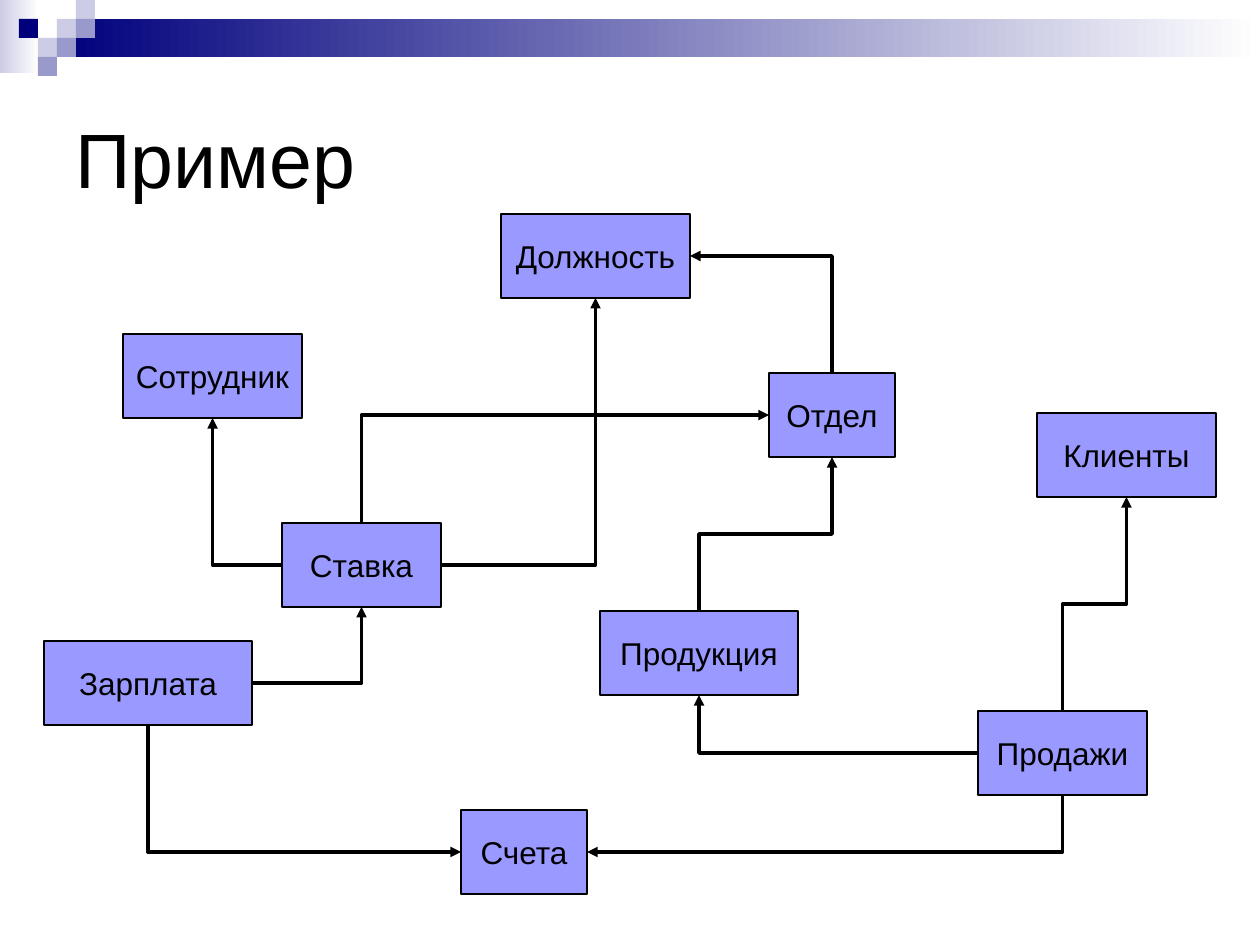
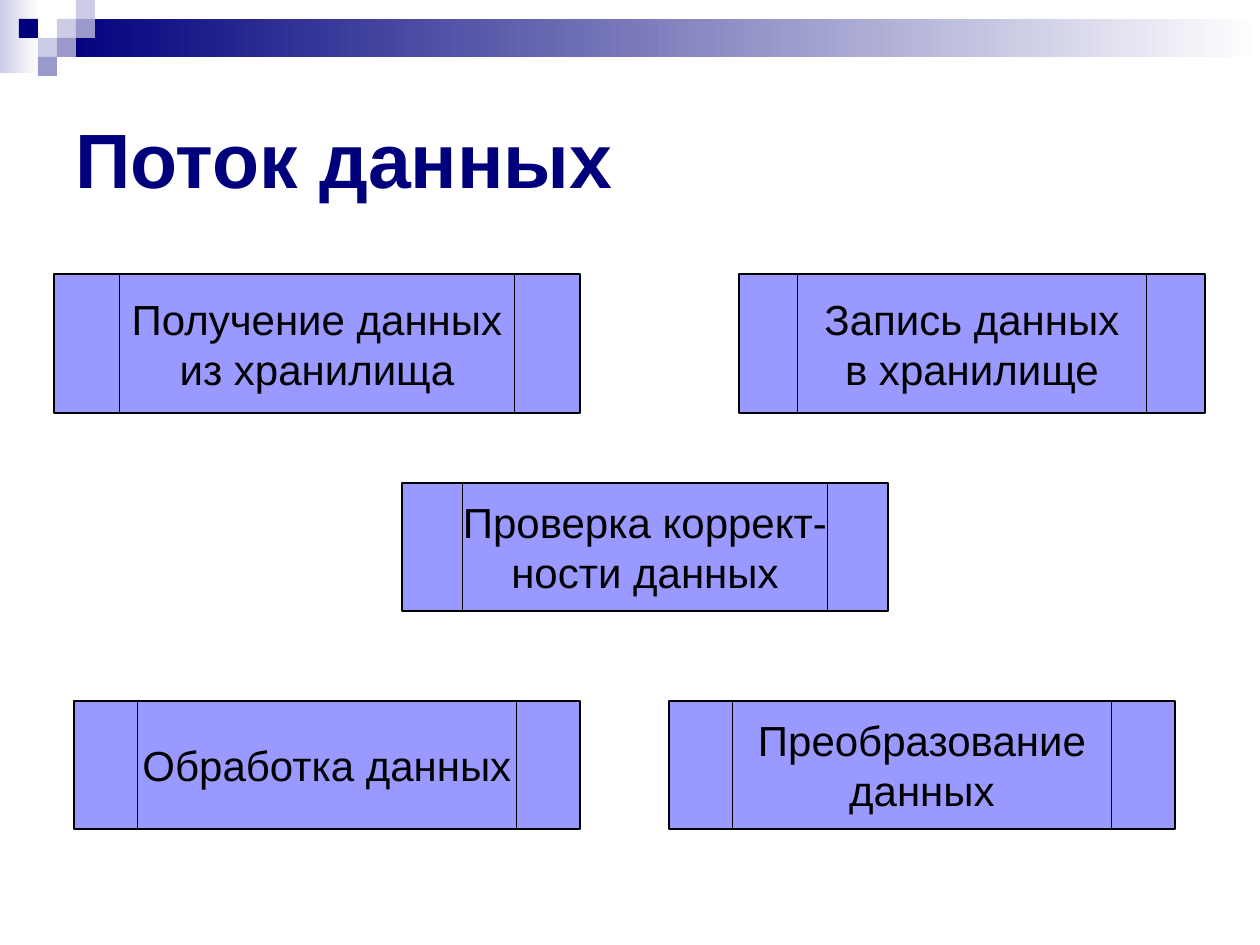
from dataclasses import dataclass

from lxml.etree import SubElement
from pptx import Presentation
from pptx.dml.color import RGBColor
from pptx.enum.shapes import MSO_CONNECTOR, MSO_SHAPE
from pptx.enum.text import MSO_ANCHOR, PP_ALIGN
from pptx.oxml.ns import qn
from pptx.util import Inches, Pt


@dataclass(frozen=True)
class Theme:
    font: str = "Arial"
    navy: str = "00007D"
    pale: str = "CCCCE6"
    mid: str = "9999CC"
    box: str = "9999FF"
    ink: str = "000000"
    paper: str = "FFFFFF"
    title_size: int = 44
    entity_size: int = 18
    process_size: int = 24
    box_line: float = 0.75
    arrow_line: float = 2


THEME = Theme()
PX_PER_INCH = 126
SLIDE_SIZE = (1260, 945)
TITLE_AREA = (63, 63, 1134, 189)

SQUARE = 19
BANDS = [
    ((0, 0, 39, 73), THEME.pale),
    ((57, 19, 1203, 38), THEME.navy),
]
SQUARES = [
    (3, 1, THEME.pale),
    (4, 0, THEME.pale),
    (4, 1, THEME.mid),
    (2, 2, THEME.pale),
    (1, 1, THEME.navy),
    (3, 2, THEME.mid),
    (2, 3, THEME.mid),
]

ENTITY_HEIGHT = 84
ENTITIES = {
    "Сотрудник": (123, 334, 179),
    "Должность": (501, 214, 189),
    "Ставка": (282, 523, 159),
    "Зарплата": (44, 641, 208),
    "Отдел": (769, 373, 126),
    "Продукция": (600, 611, 198),
    "Клиенты": (1037, 413, 179),
    "Продажи": (978, 711, 169),
    "Счета": (461, 810, 126),
}
RELATIONS = [
    ("Ставка", "left", "Сотрудник", "bottom"),
    ("Ставка", "right", "Должность", "bottom"),
    ("Зарплата", "right", "Ставка", "bottom"),
    ("Отдел", "top", "Должность", "right"),
    ("Ставка", "top", "Отдел", "left"),
    ("Продукция", "top", "Отдел", "bottom"),
    ("Продажи", "left", "Продукция", "bottom"),
    ("Продажи", "bottom", "Счета", "right"),
    ("Зарплата", "bottom", "Счета", "left"),
    ("Продажи", "top", "Клиенты", "bottom"),
]
SIDES = {
    "top": (0, 0.5, 0),
    "left": (1, 0, 0.5),
    "bottom": (2, 0.5, 1),
    "right": (3, 1, 0.5),
}

PROCESSES = [
    (["Получение данных", "из хранилища"], (54, 274, 526, 139)),
    (["Проверка коррект-", "ности данных"], (402, 483, 486, 128)),
    (["Запись данных", "в хранилище"], (739, 274, 466, 139)),
    (["Обработка данных"], (74, 701, 506, 128)),
    (["Преобразование", "данных"], (669, 701, 506, 128)),
]


def px(value):
    return round(value * Inches(1) / PX_PER_INCH)


def rgb(color):
    return RGBColor.from_string(color)


def write(frame, lines, size, color, align, bold=False):
    frame.vertical_anchor = MSO_ANCHOR.MIDDLE
    for index, line in enumerate(lines):
        paragraph = frame.add_paragraph() if index else frame.paragraphs[0]
        paragraph.alignment = align
        run = paragraph.add_run()
        run.text = line
        run.font.name = THEME.font
        run.font.size = Pt(size)
        run.font.bold = bold
        run.font.color.rgb = rgb(color)


def add_plain_shape(slide, kind, area):
    shape = slide.shapes.add_shape(kind, *map(px, area))
    shape.shadow.inherit = False
    shape.line.fill.background()
    return shape


def add_decoration(slide):
    for area, color in BANDS:
        band = add_plain_shape(slide, MSO_SHAPE.RECTANGLE, area)
        band.fill.gradient()
        band.fill.gradient_angle = 0
        for stop, stop_color in zip(band.fill.gradient_stops, (color, THEME.paper)):
            stop.color.rgb = rgb(stop_color)
    for column, row, color in SQUARES:
        area = (column * SQUARE, row * SQUARE, SQUARE, SQUARE)
        square = add_plain_shape(slide, MSO_SHAPE.RECTANGLE, area)
        square.fill.solid()
        square.fill.fore_color.rgb = rgb(color)


def add_titled_slide(presentation, title, color, bold=False):
    slide = presentation.slides.add_slide(presentation.slide_layouts[6])
    add_decoration(slide)
    frame = slide.shapes.add_textbox(*map(px, TITLE_AREA)).text_frame
    frame.word_wrap = True
    write(frame, [title], THEME.title_size, color, PP_ALIGN.LEFT, bold)
    return slide


def add_box(slide, kind, area, lines, size):
    shape = add_plain_shape(slide, kind, area)
    shape.fill.solid()
    shape.fill.fore_color.rgb = rgb(THEME.box)
    shape.line.color.rgb = rgb(THEME.ink)
    shape.line.width = Pt(THEME.box_line)
    shape.text_frame.word_wrap = False
    write(shape.text_frame, lines, size, THEME.ink, PP_ALIGN.CENTER)
    return shape


def side_point(shape, side):
    _, across, down = SIDES[side]
    return shape.left + shape.width * across, shape.top + shape.height * down


def route(connector, start, end, vertical_start, preset):
    dx, dy = end[0] - start[0], end[1] - start[1]
    width, height = abs(dx), abs(dy)
    same_sign = (dx > 0) == (dy > 0)
    if vertical_start:
        width, height = height, width
        angle = 270 if dx > 0 else 90
        flips = {"flipH": same_sign}
    else:
        angle = 0 if dx > 0 else 180
        flips = {"flipV": not same_sign}
    connector.left = round((start[0] + end[0] - width) / 2)
    connector.top = round((start[1] + end[1] - height) / 2)
    connector.width, connector.height = round(width), round(height)
    properties = connector.element.spPr
    transform = properties.find(qn("a:xfrm"))
    transform.set("rot", str(angle * 60000))
    for name in ("flipH", "flipV"):
        transform.set(name, str(int(flips.get(name, False))))
    properties.find(qn("a:prstGeom")).set("prst", preset)


def add_relation(slide, source, source_side, target, target_side):
    connector = slide.shapes.add_connector(MSO_CONNECTOR.ELBOW, 0, 0, 0, 0)
    connector.begin_connect(source, SIDES[source_side][0])
    connector.end_connect(target, SIDES[target_side][0])
    vertical_start = source_side in ("top", "bottom")
    vertical_end = target_side in ("top", "bottom")
    preset = "bentConnector3" if vertical_start == vertical_end else "bentConnector2"
    start, end = side_point(source, source_side), side_point(target, target_side)
    route(connector, start, end, vertical_start, preset)
    connector.line.color.rgb = rgb(THEME.ink)
    connector.line.width = Pt(THEME.arrow_line)
    properties = connector.element.spPr
    SubElement(properties.find(qn("a:ln")), qn("a:tailEnd"), type="triangle")
    SubElement(properties, qn("a:effectLst"))


def build_example(presentation):
    slide = add_titled_slide(presentation, "Пример", THEME.ink)
    boxes = {}
    for name, (left, top, width) in ENTITIES.items():
        area = (left, top, width, ENTITY_HEIGHT)
        boxes[name] = add_box(
            slide, MSO_SHAPE.FLOWCHART_PROCESS, area, [name], THEME.entity_size
        )
    for source, source_side, target, target_side in RELATIONS:
        add_relation(slide, boxes[source], source_side, boxes[target], target_side)


def build_data_flow(presentation):
    slide = add_titled_slide(presentation, "Поток данных", THEME.navy, bold=True)
    for lines, area in PROCESSES:
        add_box(
            slide,
            MSO_SHAPE.FLOWCHART_PREDEFINED_PROCESS,
            area,
            lines,
            THEME.process_size,
        )


def main():
    presentation = Presentation()
    presentation.slide_width, presentation.slide_height = map(px, SLIDE_SIZE)
    build_example(presentation)
    build_data_flow(presentation)
    presentation.save("out.pptx")


if __name__ == "__main__":
    main()
